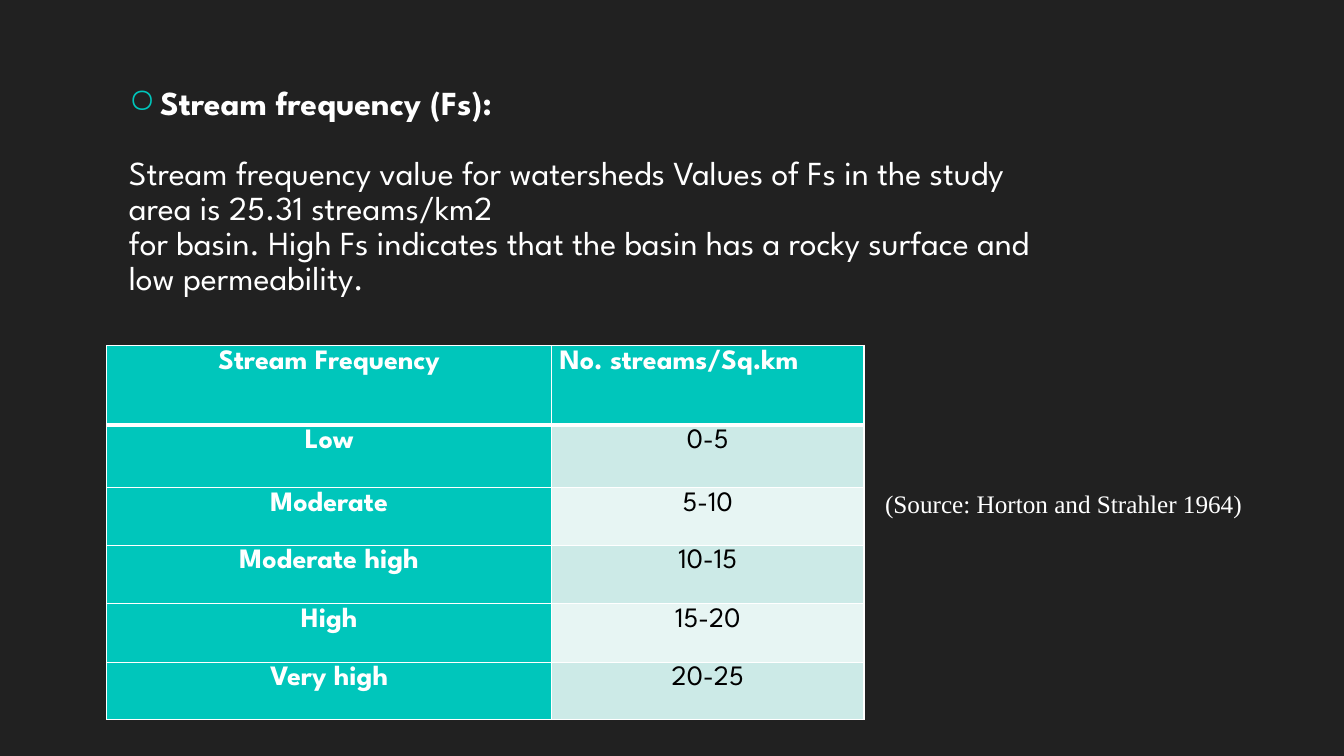
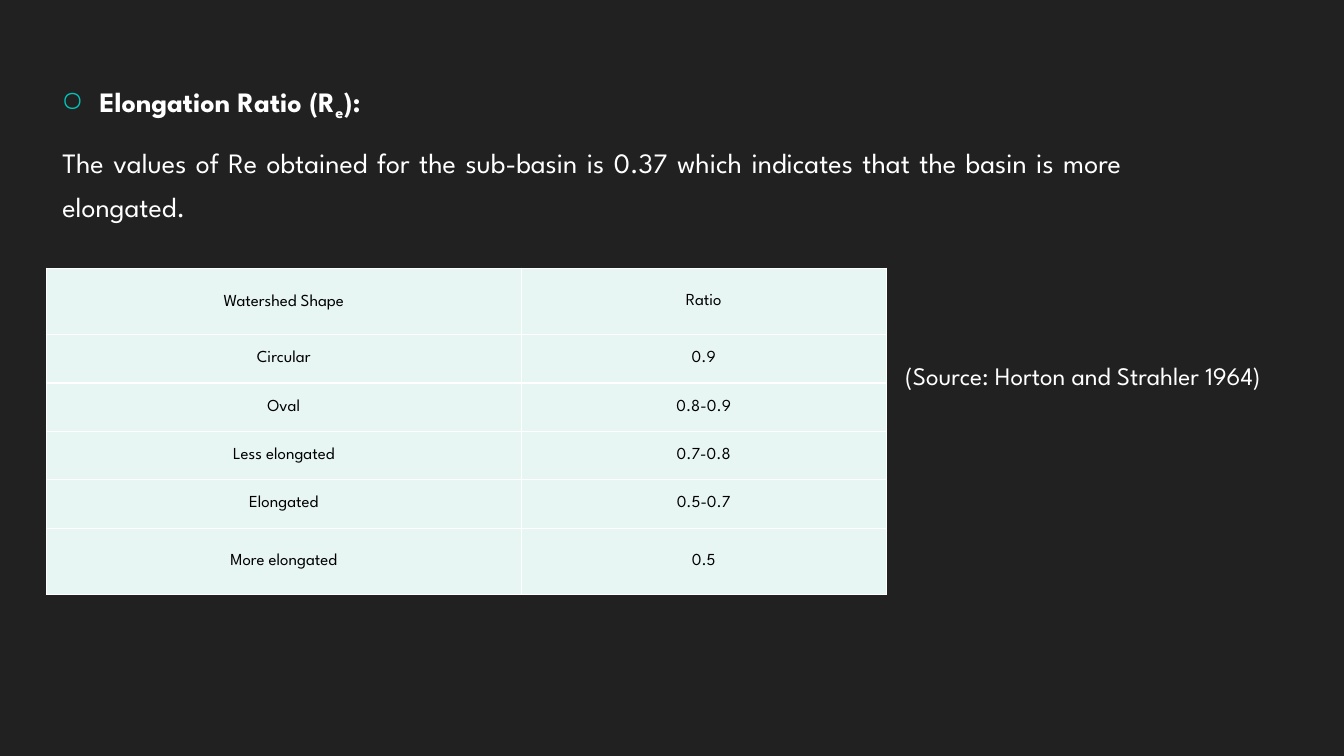
"""Build two dark slides on stream frequency and elongation ratio."""
from dataclasses import dataclass

from lxml import etree
from pptx import Presentation
from pptx.dml.color import RGBColor as RGB
from pptx.enum.text import MSO_ANCHOR as ANCHOR, PP_ALIGN as ALIGN
from pptx.oxml.ns import qn
from pptx.util import Inches, Pt


@dataclass(frozen=True)
class Theme:
    ground: str = "212121"
    accent: str = "00C6BB"
    white: str = "FFFFFF"
    black: str = "000000"
    band: str = "CCEAE7"
    pale: str = "E7F5F3"
    font: str = "League Spartan"
    serif: str = "Times New Roman"
    large: int = 24
    medium: int = 20
    source: int = 18
    small: int = 12


T = Theme()


def add_run(p, text, size, color=T.white, bold=False, font=T.font):
    """Add one styled run to a paragraph."""
    r = p.add_run()
    r.text = text
    r.font.size, r.font.bold, r.font.name = Pt(size), bold, font
    r.font.color.rgb = RGB.from_string(color)
    return r


def add_grid(s, left, top, cols, heights, rows, margin):
    """Add a table with white rules and return it."""
    tbl = s.shapes.add_table(len(rows), len(cols), Inches(left), Inches(top),
                             Inches(sum(cols)), Inches(sum(heights))).table
    tbl.first_row = tbl.horz_banding = False
    for col, width in zip(tbl.columns, cols):
        col.width = Inches(width)
    for i, (row, height) in enumerate(zip(tbl.rows, heights)):
        row.height = Inches(height)
        for cell, (text, size, color, bold, fill) in zip(row.cells, rows[i]):
            cell.margin_left = cell.margin_right = Inches(margin)
            cell.margin_top = cell.margin_bottom = 0
            p = cell.text_frame.paragraphs[0]
            p.alignment = ALIGN.CENTER
            add_run(p, text, size, color, bold)
            tcPr = cell._tc.get_or_add_tcPr()
            for side in ("L", "R", "T", "B"):
                thick = len(heights) > 1 and bold and color == T.white and (
                    (i == 0 and side == "B") or (i == 1 and side == "T"))
                ln = etree.SubElement(tcPr, qn(f"a:ln{side}"), w=str(Pt(3 if thick else 1)))
                paint = etree.SubElement(ln, qn("a:solidFill"))
                etree.SubElement(paint, qn("a:srgbClr"), val=T.white)
            cell.fill.solid()
            cell.fill.fore_color.rgb = RGB.from_string(fill)
    return tbl


prs = Presentation()
prs.slide_width, prs.slide_height = Inches(13.33), Inches(7.5)

topics = [
    dict(box=(0.66, 0.97, 11.79, 2.1), size=T.large, indent=(0.83, -0.31),
         line=Pt(14.2), after=31,
         heading=[("Stream frequency (Fs):", 0)],
         body=["Stream frequency value for watersheds Values of Fs in the study",
               "area is 25.31 streams/km2",
               "for basin. High Fs indicates that the basin has a rocky surface and",
               "low permeability."],
         source=(8.68, 4.8, 3.78, 0.4), source_font=T.serif),
    dict(box=(0, 0.68, 11.23, 1.4), size=T.medium, indent=(0.89, -0.38),
         line=1.3, after=6,
         heading=[("Elongation Ratio (R", 0), ("e", -21000), ("):", 0)],
         body=["The values of Re obtained for the sub-basin is 0.37 which indicates "
               "that the basin is more elongated."],
         source=(8.88, 3.53, 4.3, 0.4), source_font=T.font),
]

slides = []
for topic in topics:
    s = prs.slides.add_slide(prs.slide_layouts[6])
    slides.append(s)
    s.background.fill.solid()
    s.background.fill.fore_color.rgb = RGB.from_string(T.ground)

    tf = s.shapes.add_textbox(*map(Inches, topic["box"])).text_frame
    tf.word_wrap = True
    for i, text in enumerate([topic["heading"], *topic["body"]]):
        p = tf.add_paragraph() if i else tf.paragraphs[0]
        p.alignment = ALIGN.JUSTIFY
        p.line_spacing = topic["line"]
        p.space_before = Pt(topic["size"] * 0.2)
        p.space_after = Pt(6 if i else topic["after"])
        pPr = p._p.get_or_add_pPr()
        left, first = (0.52, 0) if i else topic["indent"]
        pPr.set("marL", str(Inches(left)))
        pPr.set("indent", str(Inches(first)))
        if i:
            add_run(p, text, topic["size"])
            continue
        tint = etree.SubElement(pPr, qn("a:buClr"))
        etree.SubElement(tint, qn("a:srgbClr"), val=T.accent)
        etree.SubElement(pPr, qn("a:buChar"), char="○")
        for part, offset in text:
            r = add_run(p, part, topic["size"], bold=True)
            if offset:
                r._r.get_or_add_rPr().set("baseline", str(offset))

    tf = s.shapes.add_textbox(*map(Inches, topic["source"])).text_frame
    tf.word_wrap = True
    add_run(tf.paragraphs[0], "(Source: Horton and Strahler 1964)", T.source,
            font=topic["source_font"])

frequencies = [("Low", "0-5"), ("Moderate", "5-10"), ("Moderate high", "10-15"),
               ("High", "15-20"), ("Very high", "20-25")]
rows = [[(text, T.medium, T.white, True, T.accent)
         for text in ("Stream Frequency", "No. streams/Sq.km")]]
for i, (label, value) in enumerate(frequencies):
    rows.append([(label, T.medium, T.white, True, T.accent),
                 (value, T.medium, T.black, False, T.pale if i % 2 else T.band)])
tbl = add_grid(slides[0], 1.06, 3.43, (4.41, 3.1),
               (0.79, 0.62, 0.57, 0.58, 0.58, 0.57), rows, 0.08)
for cell in tbl.iter_cells():
    cell.text_frame.paragraphs[0].line_spacing = 1.15
tbl.cell(0, 1).text_frame.paragraphs[0].alignment = ALIGN.LEFT

shapes = [("Watershed Shape", "Ratio"), ("Circular", "0.9"), ("Oval", "0.8-0.9"),
          ("Less elongated", "0.7-0.8"), ("Elongated", "0.5-0.7"),
          ("More elongated", "0.5")]
rows = [[(text, T.small, T.black, False, T.pale) for text in pair] for pair in shapes]
tbl = add_grid(slides[1], 0.46, 2.66, (4.71, 3.62),
               (0.66, 0.48, 0.48, 0.48, 0.48, 0.66), rows, 0.07)
for cell in tbl.iter_cells():
    cell.vertical_anchor = ANCHOR.MIDDLE
tbl.cell(0, 0).text_frame.paragraphs[0].line_spacing = 1.15

prs.save("out.pptx")
